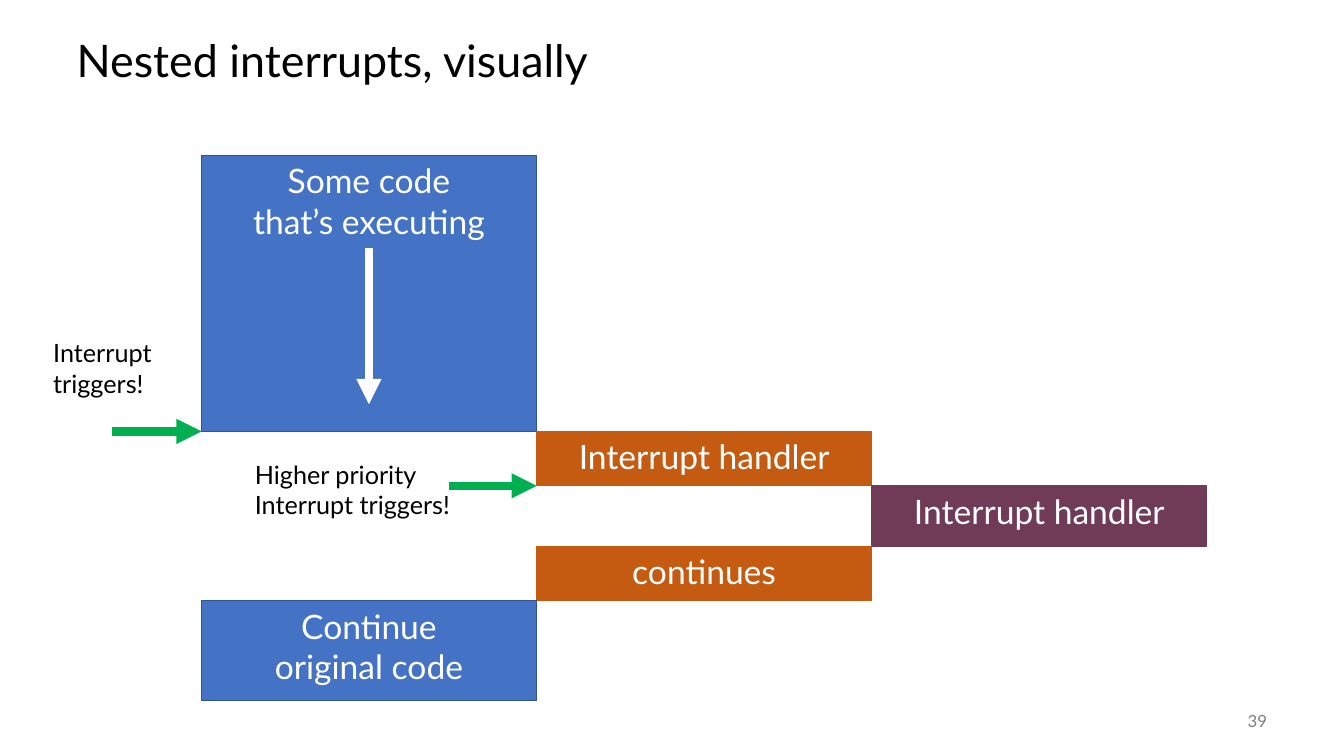
from pptx import Presentation
from pptx.dml.color import RGBColor
from pptx.enum.shapes import MSO_CONNECTOR as Link, MSO_SHAPE as Form
from pptx.enum.text import MSO_ANCHOR as Anchor, MSO_AUTO_SIZE as Fit, PP_ALIGN as Align
from pptx.oxml.ns import qn
from pptx.util import Inches, Pt
from lxml.etree import SubElement

BLACK = RGBColor(0x00, 0x00, 0x00)
WHITE = RGBColor(0xFF, 0xFF, 0xFF)
GRAY = RGBColor(0x80, 0x80, 0x80)
BLUE = RGBColor(0x44, 0x72, 0xC4)
NAVY = RGBColor(0x32, 0x54, 0x91)
GREEN = RGBColor(0x00, 0xB0, 0x50)
RUST = RGBColor(0xC5, 0x5A, 0x11)
PLUM = RGBColor(0x70, 0x3B, 0x56)

COLS = [2 + 3.325 * i for i in range(3)]
WIDTH = 3.32
ROWS = [1.54, 4.28, 4.82, 5.42, 5.96, 6.95]


def write(shape, text, size, color, align=Align.LEFT, anchor=Anchor.TOP):
    frame = shape.text_frame
    frame.text = text
    form = {"word_wrap": True, "auto_size": Fit.NONE, "vertical_anchor": anchor}
    for key, value in form.items():
        setattr(frame, key, value)
    para = frame.paragraphs[0]
    para.alignment = align
    for run in para.runs:
        for key, value in {"name": "Lato", "size": Pt(size)}.items():
            setattr(run.font, key, value)
        run.font.color.rgb = color
    return para


deck = Presentation()
deck.slide_width, deck.slide_height = Inches(13.333), Inches(7.5)
slide = deck.slides.add_slide(deck.slide_layouts[5])
shapes = slide.shapes

title = shapes.title
place = {"left": 0.66, "top": 0.25, "width": 12, "height": 0.75}
for key, value in place.items():
    setattr(title, key, Inches(value))
head = write(title, "Nested interrupts, visually", 32, BLACK, anchor=Anchor.MIDDLE)
head.line_spacing = 0.9

blocks = [
    (0, 0, "Some code\vthat’s executing", BLUE, NAVY),
    (1, 1, "Interrupt handler", RUST, RUST),
    (2, 2, "Interrupt handler", PLUM, PLUM),
    (1, 3, "continues", RUST, RUST),
    (0, 4, "Continue\voriginal code", BLUE, NAVY),
]
for col, row, text, fill, edge in blocks:
    area = (COLS[col], ROWS[row], WIDTH, ROWS[row + 1] - ROWS[row])
    block = shapes.add_shape(Form.RECTANGLE, *map(Inches, area))
    block.shadow.inherit = False
    block.fill.solid()
    block.fill.fore_color.rgb = fill
    block.line.color.rgb = edge
    block.line.width = Pt(1)
    write(block, text, 24, WHITE, Align.CENTER)

mid = COLS[0] + WIDTH / 2
arrows = [
    (mid, 2.46, mid, 4.01, WHITE),
    (COLS[0] - 0.89, ROWS[1], COLS[0], ROWS[1], GREEN),
    (COLS[1] - 0.87, ROWS[2], COLS[1], ROWS[2], GREEN),
]
for *ends, color in arrows:
    arrow = shapes.add_connector(Link.STRAIGHT, *map(Inches, ends))
    arrow.line.color.rgb = color
    arrow.line.width = Pt(6)
    SubElement(arrow.line._get_or_add_ln(), qn("a:tailEnd"), type="triangle")
    SubElement(arrow._element.spPr, qn("a:effectLst"))

labels = [
    (0.43, 3.3, 1.57, 0.71, "Interrupt triggers!", 18, BLACK, Align.LEFT, Anchor.TOP),
    (2.43, 4.51, 2.22, 0.71, "Higher priority\vInterrupt triggers!", 18, BLACK, Align.LEFT, Anchor.TOP),
    (11.67, 6.95, 1, 0.4, "39", 12, GRAY, Align.RIGHT, Anchor.MIDDLE),
]
for *area, text, size, color, align, anchor in labels:
    label = shapes.add_textbox(*map(Inches, area))
    write(label, text, size, color, align, anchor)

deck.save("out.pptx")
